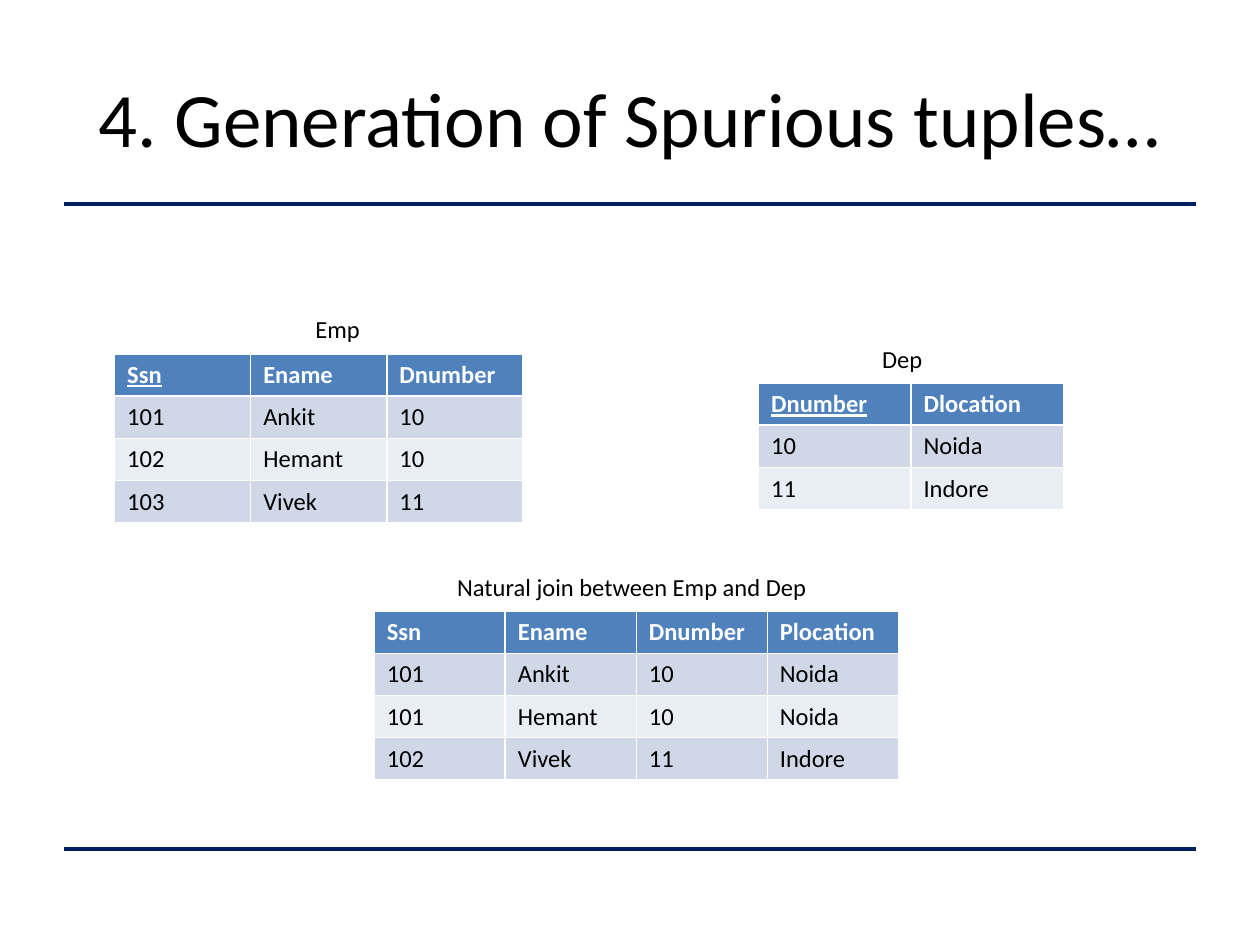
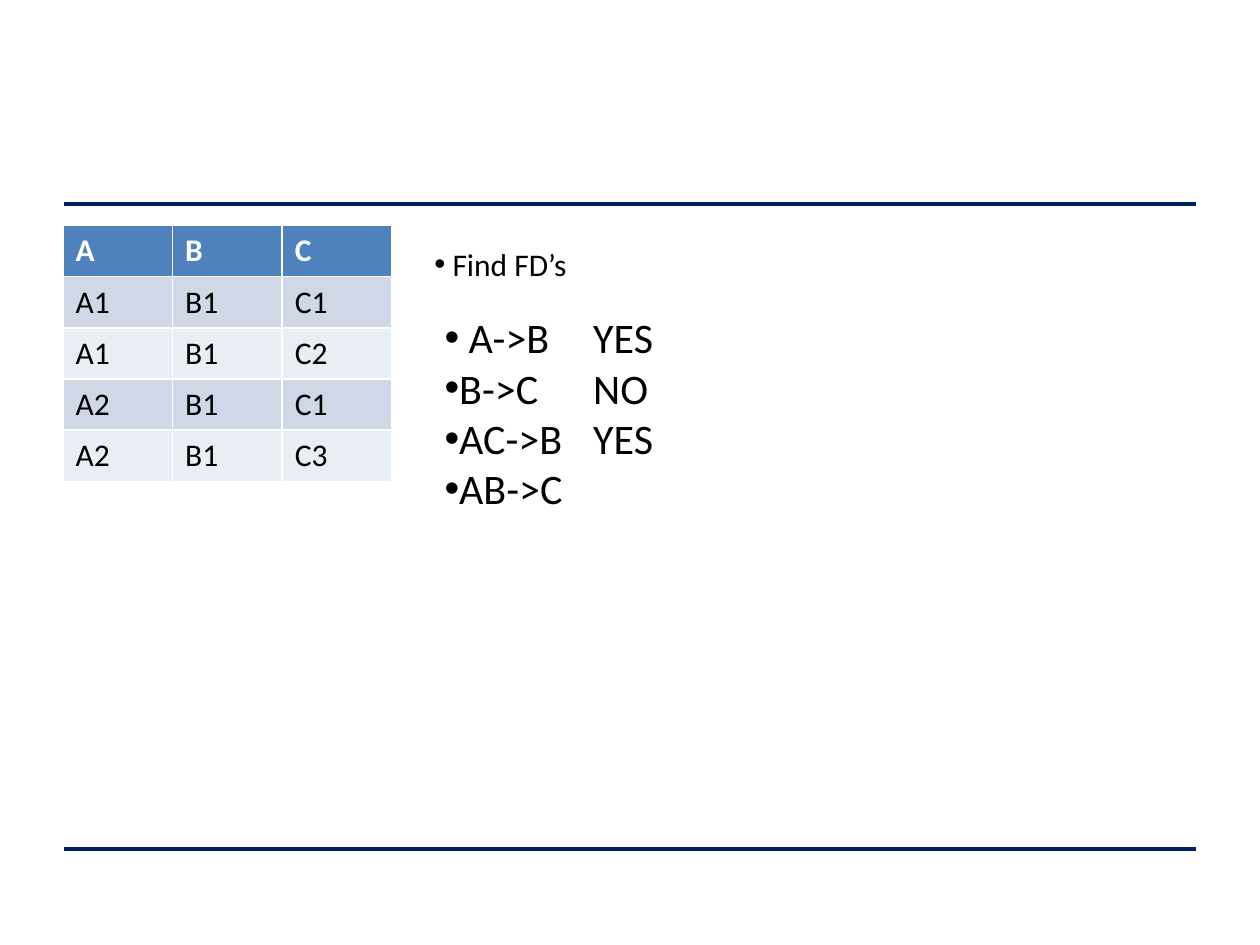
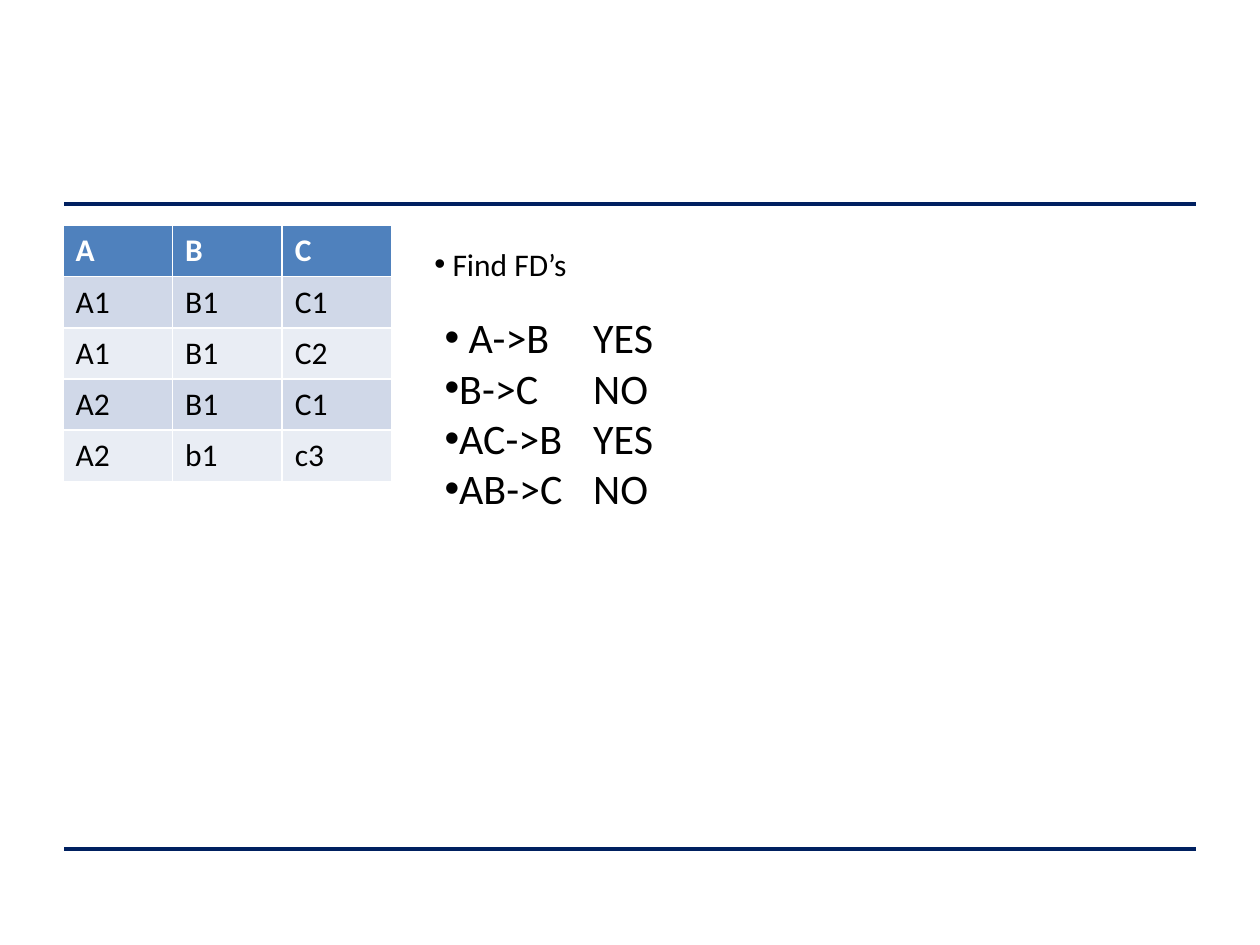
from lxml.etree import SubElement
from pptx import Presentation
from pptx.dml.color import RGBColor
from pptx.enum.shapes import MSO_CONNECTOR
from pptx.enum.text import MSO_ANCHOR, PP_ALIGN
from pptx.oxml.ns import qn
from pptx.util import Inches, Pt

FONT = "Calibri"
NAVY, BLUE, BLACK, WHITE = "002060", "4F81BD", "000000", "FFFFFF"
BANDS = ["D0D8E8", "E9EDF4"]
ANSWER_TAB = 1.18

rgb = RGBColor.from_string


def add_text(s, text, x, y, w, h, size=14, align=PP_ALIGN.CENTER, bullet=False):
    """Add a text box with one paragraph per line of text."""
    tf = s.shapes.add_textbox(Inches(x), Inches(y), Inches(w), Inches(h)).text_frame
    tf.word_wrap = True
    tf.vertical_anchor = MSO_ANCHOR.MIDDLE
    for i, line in enumerate(text.split("\n")):
        p = tf.paragraphs[0] if i == 0 else tf.add_paragraph()
        p.alignment = align
        if bullet:
            pPr = p._p.get_or_add_pPr()
            pPr.set("marL", "0")
            pPr.set("indent", "0")
            SubElement(pPr, qn("a:buFont"), typeface="Arial")
            SubElement(pPr, qn("a:buChar"), char="•")
            tabs = SubElement(pPr, qn("a:tabLst"))
            SubElement(tabs, qn("a:tab"), pos=str(Inches(ANSWER_TAB)), algn="l")
        r = p.add_run()
        r.text = line
        r.font.name, r.font.size = FONT, Pt(size)
        r.font.color.rgb = rgb(BLACK)


def add_relation(s, rows, x, y, col_w, row_h, size=14, has_key=False):
    """Add a banded table; has_key underlines the first column's heading."""
    n_rows, n_cols = len(rows), len(rows[0])
    table = s.shapes.add_table(n_rows, n_cols, Inches(x), Inches(y),
                               Inches(col_w * n_cols), Inches(row_h * n_rows)).table
    for i, row in enumerate(rows):
        for j, value in enumerate(row):
            header = i == 0
            cell = table.cell(i, j)
            cell.fill.solid()
            cell.fill.fore_color.rgb = rgb(BLUE if header else BANDS[(i - 1) % 2])
            r = cell.text_frame.paragraphs[0].add_run()
            r.text = value
            r.font.name, r.font.size, r.font.bold = FONT, Pt(size), header
            r.font.underline = has_key and header and j == 0
            r.font.color.rgb = rgb(WHITE if header else BLACK)


prs = Presentation()
prs.slide_width, prs.slide_height = Inches(10), Inches(7.5)

# Rules shared by all slides
slides = [prs.slides.add_slide(prs.slide_layouts[6]) for _ in range(3)]
for s in slides:
    for y in (1.62, 6.74):
        rule = s.shapes.add_connector(MSO_CONNECTOR.STRAIGHT, Inches(0.51), Inches(y),
                                      Inches(9.49), Inches(y))
        rule.line.color.rgb = rgb(NAVY)
        rule.line.width = Pt(2.25)
        SubElement(rule._element.spPr, qn("a:effectLst"))

# Slide 1: two relations and their natural join
s = slides[0]
emp = [["Ssn", "Ename", "Dnumber"],
       ["101", "Ankit", "10"],
       ["102", "Hemant", "10"],
       ["103", "Vivek", "11"]]
dep = [["Dnumber", "Dlocation"],
       ["10", "Noida"],
       ["11", "Indore"]]
joined = [["Ssn", "Ename", "Dnumber", "Plocation"],
          ["101", "Ankit", "10", "Noida"],
          ["101", "Hemant", "10", "Noida"],
          ["102", "Vivek", "11", "Indore"]]
add_text(s, "4. Generation of Spurious tuples…", 0.5, 0.3, 9, 1.25, size=44)
add_relation(s, emp, 0.91, 2.81, 1.08, 0.335, has_key=True)
add_relation(s, dep, 6.02, 3.04, 1.21, 0.335, has_key=True)
add_relation(s, joined, 2.97, 4.85, 1.04, 0.335)
add_text(s, "Emp", 1.46, 2.49, 2.44, 0.24)
add_text(s, "Dep", 5.94, 2.73, 2.44, 0.24)
add_text(s, "Natural join between Emp and Dep", 3.36, 4.54, 3.31, 0.24)

# Slides 2 and 3: the functional dependency exercise, then its last answer
abc = [["A", "B", "C"],
       ["A1", "B1", "C1"],
       ["A1", "B1", "C2"],
       ["A2", "B1", "C1"]]
dependencies = " A->B\tYES\nB->C\tNO\nAC->B\tYES\nAB->C"
for s, last_row, answer in [(slides[1], ["A2", "B1", "C3"], ""),
                            (slides[2], ["A2", "b1", "c3"], "\tNO")]:
    add_relation(s, abc + [last_row], 0.5, 1.79, 0.87, 0.406, size=18)
    add_text(s, " Find FD’s", 3.35, 1.86, 1.5, 0.47, size=18,
             align=PP_ALIGN.LEFT, bullet=True)
    add_text(s, dependencies + answer, 3.43, 2.41, 3.15, 1.73, size=24,
             align=PP_ALIGN.LEFT, bullet=True)

prs.save("out.pptx")
